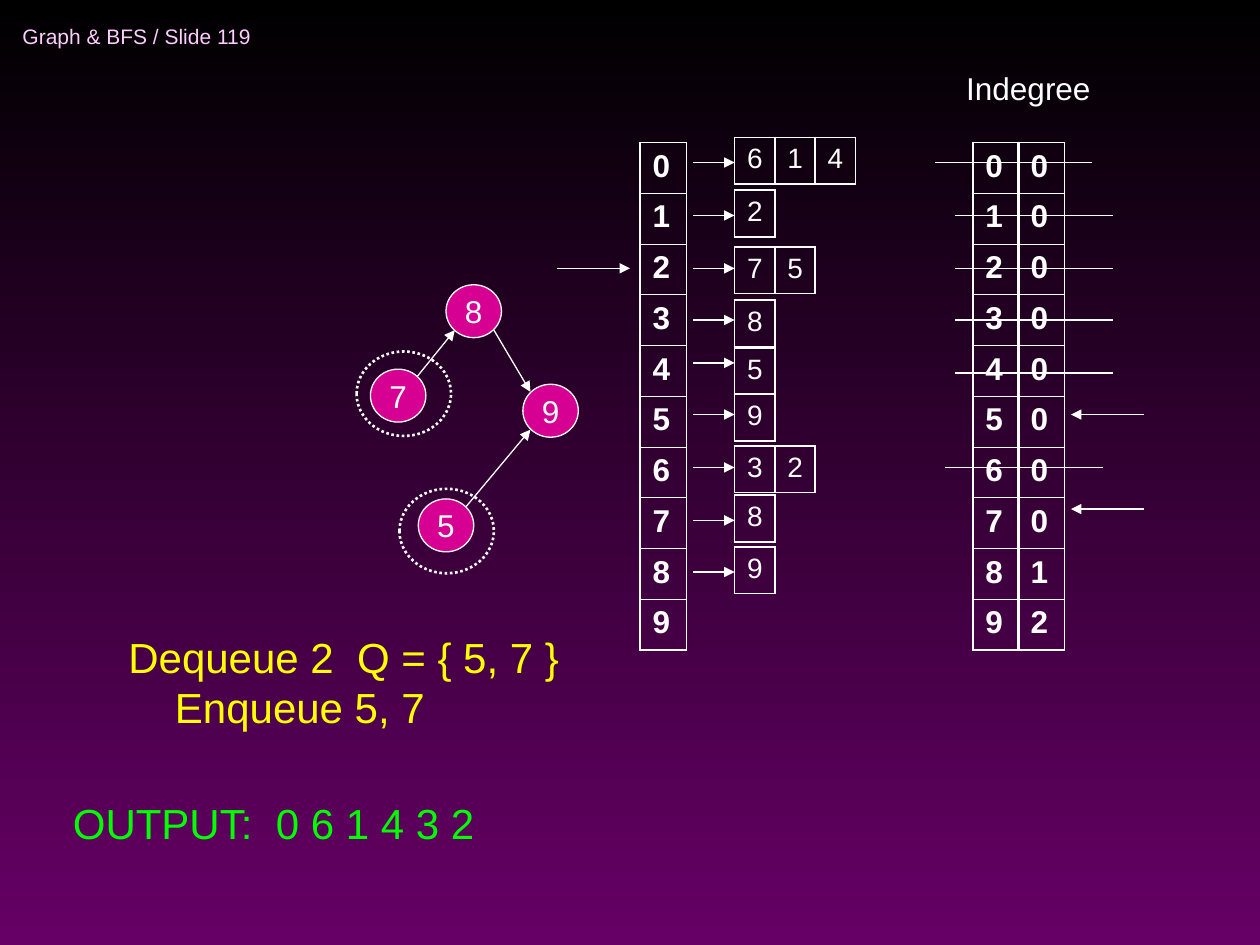
from typing import NamedTuple

from lxml.etree import SubElement
from pptx import Presentation
from pptx.dml.color import RGBColor
from pptx.enum.dml import MSO_LINE as Dash
from pptx.enum.shapes import MSO_CONNECTOR as Conn, MSO_SHAPE as Shape
from pptx.enum.text import (MSO_ANCHOR as Anchor, MSO_AUTO_SIZE as Fit,
                            PP_ALIGN as Align)
from pptx.oxml.ns import qn
from pptx.util import Inches, Pt

BLACK = RGBColor(0x00, 0x00, 0x00)
PURPLE = RGBColor(0x66, 0x00, 0x66)
WHITE = RGBColor(0xFF, 0xFF, 0xFF)
PINK = RGBColor(0xFF, 0xCC, 0xFF)
MAGENTA = RGBColor(0xD6, 0x00, 0x93)
YELLOW = RGBColor(0xFF, 0xFF, 0x00)
GREEN = RGBColor(0x00, 0xFF, 0x00)

THICK, THIN = 1.08, 0.45  # table rules, in points


class Node(NamedTuple):
    label: str
    left: float
    top: float


class Line(NamedTuple):
    x1: float
    y1: float
    x2: float
    y2: float


class Label(NamedTuple):
    lines: list[str]
    left: float
    top: float
    width: float
    height: float
    size: int
    color: RGBColor


class Links(NamedTuple):
    items: str
    top: float
    arrow: float


NODES = [Node("5", 3.32, 3.96), Node("7", 2.94, 2.93),
         Node("8", 3.54, 2.26), Node("9", 4.15, 3.05)]
EDGES = [Line(3.7, 4.02, 4.21, 3.41), Line(3.92, 2.62, 4.21, 3.11),
         Line(3.31, 2.99, 3.61, 2.62)]
RINGS = [(2.83, 2.79), (3.17, 3.88)]

# Adjacency lists of vertices 0 to 8
LISTS = [Links("614", 1.09, 1.29), Links("2", 1.51, 1.71),
         Links("75", 1.96, 2.13), Links("8", 2.38, 2.54),
         Links("5", 2.76, 2.88), Links("9", 3.13, 3.29),
         Links("32", 3.54, 3.71), Links("8", 3.93, 4.13),
         Links("9", 4.34, 4.54)]

# Tall columns: vertices, then vertices and their indegrees
COLUMNS = [("0123456789", 5.08), ("0123456789", 7.72), ("0000000012", 8.08)]
STRIKES = [(7.42, 1.29), (7.58, 1.71), (7.58, 2.13), (7.58, 2.54),
           (7.58, 2.96), (7.5, 3.71)]
MARKS = [Line(4.42, 2.13, 5, 2.13), Line(9.08, 3.29, 8.5, 3.29),
         Line(9.08, 4.04, 8.5, 4.04)]

HEAD = Label(["Graph & BFS / Slide 119"], 0.08, 0.08, 2.75, 0.42, 12, PINK)
LABELS = [
    Label(["Indegree"], 7.57, 0.5, 1.22, 0.4, 18, WHITE),
    Label(["Dequeue 2  Q = { 5, 7 }", "Enqueue 5, 7"],
          0.92, 4.96, 3.71, 0.9, 24, YELLOW),
    Label(["OUTPUT:  0 6 1 4 3 2"], 0.48, 6.28, 3.91, 0.5, 24, GREEN),
]


def write(para, text: str, *, size: int, color: RGBColor = WHITE,
          bold: bool = False, align=None, indent: float = 0) -> None:
    if indent:
        props = para._p.get_or_add_pPr()
        props.set("marL", str(Inches(indent)))
        props.set("indent", "0")
    if align is not None:
        para.alignment = align
    run = para.add_run()
    run.text = text
    font = run.font
    font.name, font.size, font.bold = "Arial", Pt(size), bold
    font.color.rgb = color


def add_label(slide, label: Label, anchor=Anchor.TOP,
              fit=Fit.SHAPE_TO_FIT_TEXT) -> None:
    box = slide.shapes.add_textbox(Inches(label.left), Inches(label.top),
                                   Inches(label.width), Inches(label.height))
    frame = box.text_frame
    frame.word_wrap = False
    frame.auto_size = fit
    frame.vertical_anchor = anchor
    for i, text in enumerate(label.lines):
        para = frame.add_paragraph() if i else frame.paragraphs[0]
        write(para, text, size=label.size, color=label.color,
              indent=0.37 if i else 0)


def add_oval(slide, left: float, top: float, width: float, height: float,
             weight: float):
    oval = slide.shapes.add_shape(Shape.OVAL, Inches(left), Inches(top),
                                  Inches(width), Inches(height))
    oval.shadow.inherit = False
    oval.fill.background()
    oval.line.color.rgb = WHITE
    oval.line.width = Pt(weight)
    return oval


def add_node(slide, node: Node) -> None:
    oval = add_oval(slide, node.left, node.top, 0.44, 0.42, 0.75)
    oval.fill.solid()
    oval.fill.fore_color.rgb = MAGENTA
    frame = oval.text_frame
    frame.word_wrap = False
    frame.vertical_anchor = Anchor.MIDDLE
    write(frame.paragraphs[0], node.label, size=18, align=Align.CENTER)


def add_line(slide, line: Line, arrow: bool = True) -> None:
    conn = slide.shapes.add_connector(Conn.STRAIGHT, *map(Inches, line))
    conn.line.color.rgb = WHITE
    conn.line.width = Pt(0.75)
    if arrow:
        SubElement(conn.line._get_or_add_ln(), qn("a:tailEnd"),
                   type="triangle")
    SubElement(conn._element.spPr, qn("a:effectLst"))


def rule_cell(cell, top: float, bottom: float) -> None:
    props = cell._tc.get_or_add_tcPr()
    for side, weight in zip("LRTB", (THICK, THICK, top, bottom)):
        rule = SubElement(props, qn(f"a:ln{side}"), w=str(Pt(weight)))
        fill = SubElement(rule, qn("a:solidFill"))
        SubElement(fill, qn("a:srgbClr"), val=str(WHITE))
    cell.fill.background()


def add_grid(slide, rows: list[str], left: float, top: float, width: float,
             height: float, size: int, bold: bool = False) -> None:
    """Draw a table with one character of each row string per cell."""
    count, cols = len(rows), len(rows[0])
    grid = slide.shapes.add_table(count, cols, Inches(left), Inches(top),
                                  Inches(width), Inches(height)).table
    grid.first_row = grid.horz_banding = False
    for r, row in enumerate(rows):
        for c, text in enumerate(row):
            cell = grid.cell(r, c)
            rule_cell(cell, THIN if r else THICK,
                      THIN if r < count - 1 else THICK)
            write(cell.text_frame.paragraphs[0], text, size=size, bold=bold)


def main() -> None:
    prs = Presentation()
    prs.slide_width, prs.slide_height = Inches(10), Inches(7.5)
    slide = prs.slides.add_slide(prs.slide_layouts[6])

    # Background, black at the top to purple
    fill = slide.background.fill
    fill.gradient()
    fill.gradient_angle = 270
    for stop, color in zip(fill.gradient_stops, (BLACK, PURPLE)):
        stop.color.rgb = color
    add_label(slide, HEAD, Anchor.MIDDLE, Fit.NONE)

    # Graph
    for node in NODES:
        add_node(slide, node)
    for edge in EDGES:
        add_line(slide, edge)

    # Adjacency lists
    for links in LISTS:
        add_line(slide, Line(5.5, links.arrow, 5.83, links.arrow))
        add_grid(slide, [links.items], 5.83, links.top,
                 0.32 * len(links.items), 0.37, 16)

    # Vertex and indegree columns
    for digits, left in COLUMNS:
        add_grid(slide, list(digits), left, 1.13, 0.37, 4.03, 18, True)

    # Captions
    for label in LABELS:
        add_label(slide, label)

    # Struck-out vertices, pointers and rings round the queued nodes
    for x, y in STRIKES:
        add_line(slide, Line(x, y, x + 1.25, y), arrow=False)
    for mark in MARKS:
        add_line(slide, mark)
    for left, top in RINGS:
        ring = add_oval(slide, left, top, 0.75, 0.67, 1.5)
        ring.line.dash_style = Dash.ROUND_DOT

    prs.save("out.pptx")


if __name__ == "__main__":
    main()
